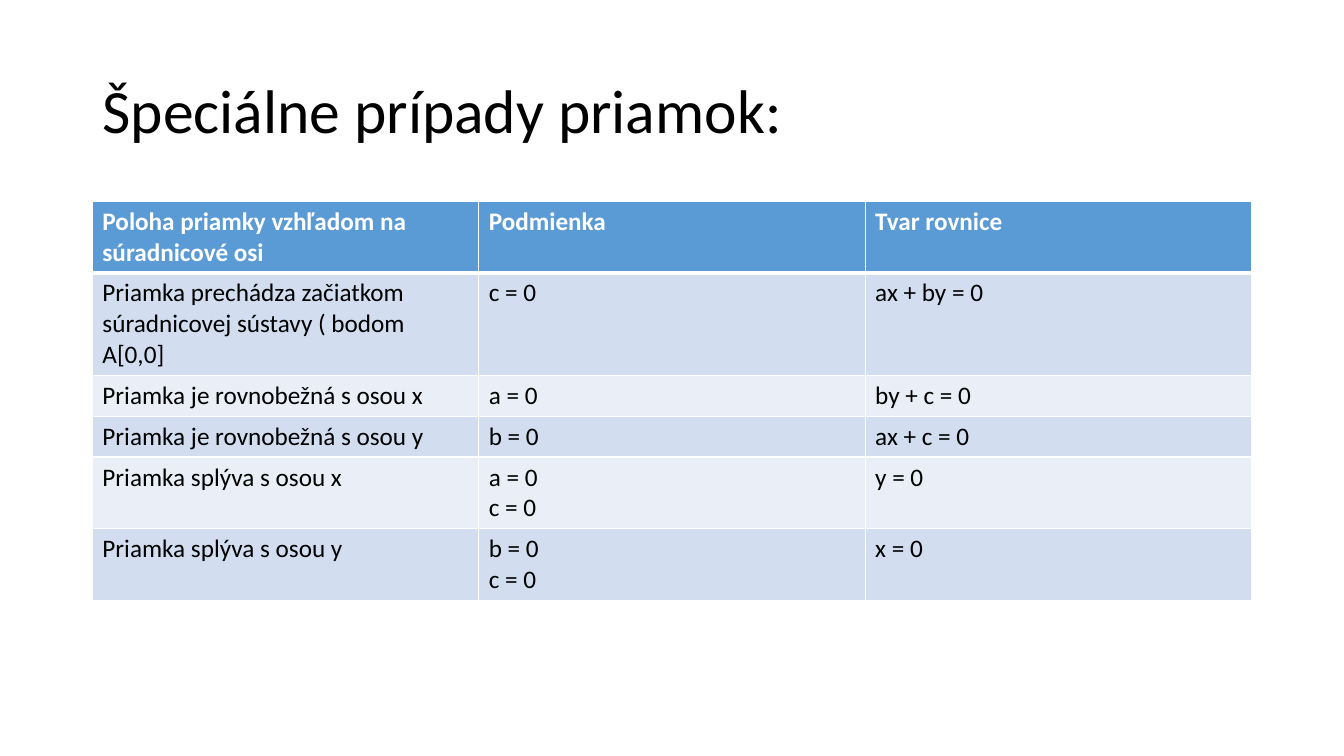
from lxml import etree
from pptx import Presentation
from pptx.dml.color import RGBColor
from pptx.enum.text import MSO_ANCHOR, MSO_AUTO_SIZE, PP_ALIGN
from pptx.oxml.ns import qn
from pptx.util import Pt

LEFT = PP_ALIGN.LEFT
MIDDLE = MSO_ANCHOR.MIDDLE
NO_AUTOFIT = MSO_AUTO_SIZE.NONE

COLORS = {
    "text": "000000",
    "light": "FFFFFF",
    "header": "5B9BD5",
    "odd": "D2DEEF",
    "even": "EAEFF7",
}
FONT = "Calibri"
TITLE_LAYOUT = 5
LINE_HEIGHT = 21.9
CELL_MARGINS = 7.2

HEADING = "Špeciálne prípady priamok:"
LINE_CASES = [
    ("Poloha priamky vzhľadom na súradnicové osi", "Podmienka", "Tvar rovnice"),
    ("Priamka prechádza začiatkom súradnicovej sústavy ( bodom A[0,0]", "c = 0", "ax + by = 0"),
    ("Priamka je rovnobežná s osou x", "a = 0", "by + c = 0"),
    ("Priamka je rovnobežná s osou y", "b = 0", "ax + c = 0"),
    ("Priamka splýva s osou x", "a = 0\nc = 0", "y = 0"),
    ("Priamka splýva s osou y", "b = 0\nc = 0", "x = 0"),
]
LINES_PER_ROW = [2, 3, 1, 1, 2, 2]


def add_text(paragraph, text, size, color, bold=False):
    """Append a formatted run to a paragraph."""
    run = paragraph.add_run()
    run.text = text
    run.font.name = FONT
    run.font.size = Pt(size)
    run.font.bold = bold
    run.font.color.rgb = RGBColor.from_string(COLORS[color])


def set_borders(cell, top, bottom):
    """Draw white cell borders, with top and bottom widths in points."""
    properties = cell._tc.get_or_add_tcPr()
    widths = {"a:lnL": 1, "a:lnR": 1, "a:lnT": top, "a:lnB": bottom}
    for position, (side, width) in enumerate(widths.items()):
        border = etree.Element(qn(side), w=str(Pt(width)))
        fill = etree.SubElement(border, qn("a:solidFill"))
        etree.SubElement(fill, qn("a:srgbClr"), val=COLORS["light"])
        properties.insert(position, border)


def place_heading(slide, left, top, width, height):
    """Place the slide title in the given box."""
    heading = slide.shapes.title
    heading.left, heading.top = Pt(left), Pt(top)
    heading.width, heading.height = Pt(width), Pt(height)
    frame = heading.text_frame
    frame.auto_size = NO_AUTOFIT
    frame.word_wrap = True
    frame.vertical_anchor = MIDDLE
    paragraph = frame.paragraphs[0]
    paragraph.alignment = LEFT
    paragraph.line_spacing = 0.9
    add_text(paragraph, HEADING, 44, "text")


def fill_cell(cell, text, row_index):
    """Write and style one cell according to its row."""
    is_header = row_index == 0
    band = "header" if is_header else ("odd" if row_index % 2 else "even")
    cell.fill.solid()
    cell.fill.fore_color.rgb = RGBColor.from_string(COLORS[band])
    set_borders(cell, 3 if row_index == 1 else 1, 3 if is_header else 1)
    frame = cell.text_frame
    for index, line in enumerate(text.split("\n")):
        paragraph = frame.add_paragraph() if index else frame.paragraphs[0]
        add_text(paragraph, line, 18, "light" if is_header else "text", is_header)


def place_cases(slide, left, top, width):
    """Place the table of line cases, its rows as tall as their text."""
    heights = [CELL_MARGINS + LINE_HEIGHT * lines for lines in LINES_PER_ROW]
    frame = slide.shapes.add_table(
        len(LINE_CASES), len(LINE_CASES[0]), Pt(left), Pt(top), Pt(width), Pt(sum(heights))
    )
    cases = frame.table
    for row_index, (texts, height) in enumerate(zip(LINE_CASES, heights)):
        cases.rows[row_index].height = Pt(height)
        for column_index, text in enumerate(texts):
            fill_cell(cases.cell(row_index, column_index), text, row_index)


def main():
    """Build and save the slide."""
    deck = Presentation()
    deck.slide_width, deck.slide_height = Pt(960), Pt(540)
    slide = deck.slides.add_slide(deck.slide_layouts[TITLE_LAYOUT])
    place_heading(slide, 66, 28.75, 828, 104.4)
    place_cases(slide, 66, 143.75, 828)
    deck.save("out.pptx")


if __name__ == "__main__":
    main()
